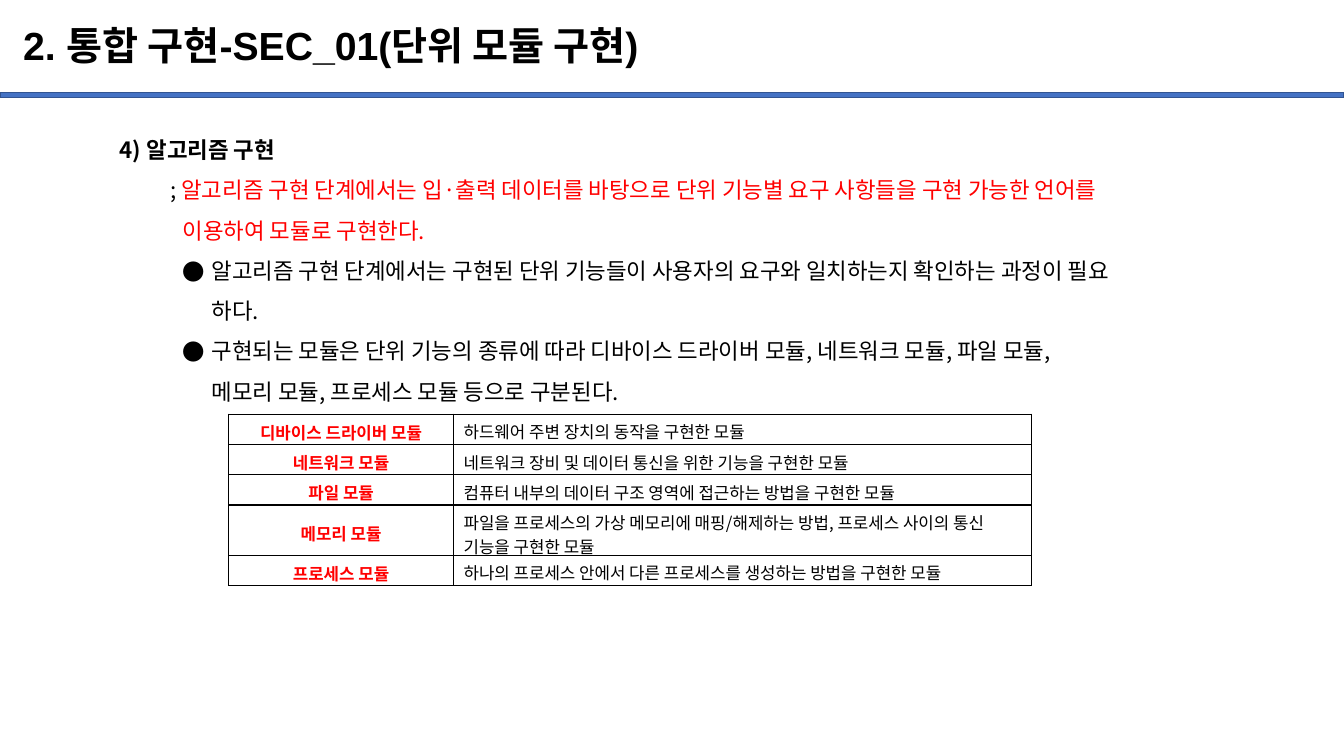
import pptx
import pptx.chart.data
import pptx.dml.color
import pptx.enum.shapes
import pptx.enum.text
import pptx.oxml.ns
import pptx.util
from lxml import etree

Pt = pptx.util.Pt
ALIGN = pptx.enum.text.PP_ALIGN
ANCHOR = pptx.enum.text.MSO_ANCHOR
COLORS = {"black": "000000", "red": "FF0000", "white": "FFFFFF",
          "bar": "4472C4", "bar_edge": "325491"}
KOREAN_FONT = "Noto Sans CJK KR"

MODULES = [
    ("디바이스 드라이버 모듈", "하드웨어 주변 장치의 동작을 구현한 모듈"),
    ("네트워크 모듈", "네트워크 장비 및 데이터 통신을 위한 기능을 구현한 모듈"),
    ("파일 모듈", "컴퓨터 내부의 데이터 구조 영역에 접근하는 방법을 구현한 모듈"),
    ("메모리 모듈", "파일을 프로세스의 가상 메모리에 매핑/해제하는 방법, "
                "프로세스 사이의 통신 기능을 구현한 모듈"),
    ("프로세스 모듈", "하나의 프로세스 안에서 다른 프로세스를 생성하는 방법을 구현한 모듈"),
]


def color(name):
    return pptx.dml.color.RGBColor.from_string(COLORS[name])


def add_element(parent, tag, **attributes):
    return etree.SubElement(parent, pptx.oxml.ns.qn(tag), attributes)


class SlideBuilder:
    def __init__(self, presentation):
        self.slide = presentation.slides.add_slide(presentation.slide_layouts[6])

    def bar(self, left, top, width, height):
        shape = self.slide.shapes.add_shape(
            pptx.enum.shapes.MSO_SHAPE.RECTANGLE, Pt(left), Pt(top), Pt(width), Pt(height))
        shape.shadow.inherit = False
        shape.fill.solid()
        shape.fill.fore_color.rgb = color("bar")
        shape.line.color.rgb = color("bar_edge")
        shape.line.width = Pt(1)

    def text_box(self, left, top, width, height, anchor=ANCHOR.TOP):
        shape = self.slide.shapes.add_textbox(Pt(left), Pt(top), Pt(width), Pt(height))
        shape.text_frame.word_wrap = True
        shape.text_frame.vertical_anchor = anchor
        return shape.text_frame

    def style(self, paragraph, size, color_name="black", bold=False, font=KOREAN_FONT):
        paragraph.font.size = Pt(size)
        paragraph.font.bold = bold
        paragraph.font.color.rgb = color(color_name)
        paragraph.font.name = font
        defaults = paragraph._p.pPr.find(pptx.oxml.ns.qn("a:defRPr"))
        add_element(defaults, "a:ea", typeface=KOREAN_FONT)

    def indent(self, paragraph, left, first, bullet=None):
        properties = paragraph._p.get_or_add_pPr()
        properties.set("marL", str(Pt(left)))
        properties.set("indent", str(Pt(first)))
        if bullet:
            add_element(properties, "a:buFont", typeface=KOREAN_FONT)
            add_element(properties, "a:buChar", char=bullet)

    def cell(self, cell, text, color_name, bold, align, anchor):
        cell.fill.solid()
        cell.fill.fore_color.rgb = color("white")
        cell.margin_top, cell.margin_bottom = Pt(3.6), Pt(0)
        cell.vertical_anchor = anchor
        paragraph = cell.text_frame.paragraphs[0]
        paragraph.text = text
        paragraph.alignment = align
        self.style(paragraph, 12, color_name, bold)
        properties = cell._tc.get_or_add_tcPr()
        for position, side in enumerate(("a:lnL", "a:lnR", "a:lnT", "a:lnB")):
            line = etree.Element(pptx.oxml.ns.qn(side), w=str(Pt(1)))
            fill = add_element(line, "a:solidFill")
            add_element(fill, "a:srgbClr", val=COLORS["black"])
            properties.insert(position, line)

    def table(self, left, top, widths, heights, rows):
        table = self.slide.shapes.add_table(
            len(rows), len(widths), Pt(left), Pt(top), Pt(sum(widths)), Pt(sum(heights))).table
        table.first_row = table.horz_banding = False
        for column, width in zip(table.columns, widths):
            column.width = Pt(width)
        for index, (name, description) in enumerate(rows):
            table.rows[index].height = Pt(heights[index])
            self.cell(table.cell(index, 0), name, "red", True, ALIGN.CENTER, ANCHOR.MIDDLE)
            self.cell(table.cell(index, 1), description, "black", False, ALIGN.LEFT, ANCHOR.TOP)


def main():
    presentation = pptx.Presentation()
    presentation.slide_width, presentation.slide_height = Pt(960), Pt(540)
    builder = SlideBuilder(presentation)

    # Header
    builder.bar(0, 66.2, 960, 3.6)
    title = builder.text_box(9.4, 7.2, 828, 53.3, ANCHOR.MIDDLE).paragraphs[0]
    title.text = "2. 통합 구현-SEC_01(단위 모듈 구현)"
    title.line_spacing = 0.9
    builder.style(title, 28, bold=True, font="Arial")

    # Body: heading, definition, bullets
    body = builder.text_box(78.5, 84.2, 843.8, 211)
    heading = body.paragraphs[0]
    heading.text = "4) 알고리즘 구현"

    definition = body.add_paragraph()
    builder.indent(definition, 45, -9)
    definition.add_run().text = "; "
    sentence = definition.add_run()
    sentence.text = ("알고리즘 구현 단계에서는 입·출력 데이터를 바탕으로 단위 기능별 요구 사항들을 "
                     "구현 가능한 언어를\v이용하여 모듈로 구현한다.").split("\v")[0]
    definition.add_line_break()
    ending = definition.add_run()
    ending.text = "이용하여 모듈로 구현한다."
    for run in (sentence, ending):
        run.font.color.rgb = color("red")

    for text in (
        "알고리즘 구현 단계에서는 구현된 단위 기능들이 사용자의 요구와 일치하는지 확인하는 과정이 필요\v하다.",
        "구현되는 모듈은 단위 기능의 종류에 따라 디바이스 드라이버 모듈, 네트워크 모듈, 파일 모듈,"
        "\v메모리 모듈, 프로세스 모듈 등으로 구분된다.",
    ):
        bullet = body.add_paragraph()
        bullet.text = text
        builder.indent(bullet, 65.5, -20.5, "●")

    for paragraph in body.paragraphs:
        paragraph.line_spacing = 1.5
        builder.style(paragraph, 16, bold=paragraph.text == heading.text)

    # Module table: the fourth description takes two lines
    heights = [21.6, 21.6, 21.6, 36, 21.6]
    builder.table(163.4, 295.9, [160.6, 412.6], heights, MODULES)

    presentation.save("out.pptx")


if __name__ == "__main__":
    main()
